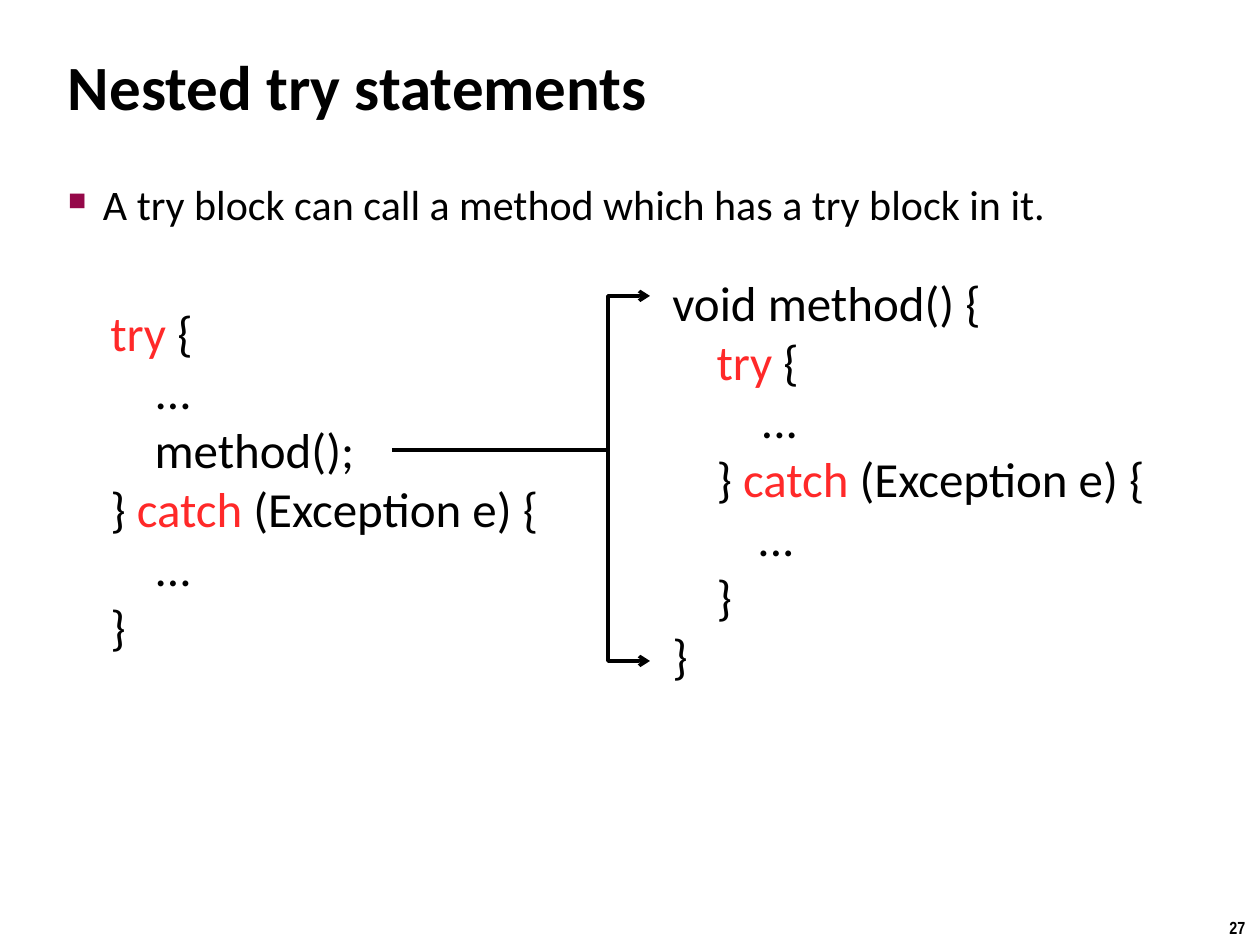
"""Build the slide on nested try statements."""
import pptx
import pptx.util
import pptx.dml.color
import pptx.enum.shapes
import pptx.enum.text
import pptx.oxml.ns
from lxml import etree

BLACK, RED, PLUM = "000000", "FF2929", "950849"
KEYWORDS = ("try", "catch")
TITLE = "Nested try statements"
POINT = "A try block can call a method which has a try block in it."
NUMBER = "27"

# Each line of code is (left margin in px, pieces of text).
CODE = [
    ((660, 266, 514, 488), [
        (0, ["void method() {"]),
        (0, ["    ", "try", " {"]),
        (0, ["        ..."]),
        (0, ["    } ", "catch", " (Exception e) {"]),
        (63, ["  ..."]),
        (0, ["    }"]),
        (0, ["}"]),
    ]),
    ((98, 296, 469, 428), [
        (0, ["try", " {"]),
        (0, ["    ..."]),
        (0, ["    method();"]),
        (0, ["} ", "catch", " (Exception e) {"]),
        (0, ["    ..."]),
        (0, ["}"]),
    ]),
]
BEND_X = 608
ARROWS = [((480, 450), (650, 296)), ((392, 450), (650, 661))]


def px(length):
    return pptx.util.Emu(length * 914400 // 126)


def colour(value):
    return pptx.dml.color.RGBColor.from_string(value)


def add(parent, tag, **attributes):
    return etree.SubElement(parent, pptx.oxml.ns.qn(tag), attributes)


def style(font, size, value=BLACK, bold=False, name="Calibri"):
    font.name, font.size, font.bold = name, pptx.util.Pt(size), bold
    font.color.rgb = colour(value)


def add_box(page, place, wrap=True, inset=None):
    frame = page.shapes.add_textbox(*map(px, place)).text_frame
    frame.word_wrap = wrap
    if inset is not None:
        frame.margin_left = frame.margin_right = px(inset)
        frame.margin_top = frame.margin_bottom = px(inset)
    return frame


def add_code(page, place, lines):
    frame = add_box(page, place, wrap=False)
    frame.auto_size = pptx.enum.text.MSO_AUTO_SIZE.SHAPE_TO_FIT_TEXT
    frame.text = "\n".join("" for _ in lines)
    for para, (margin, pieces) in zip(frame.paragraphs, lines):
        if margin:
            para._p.get_or_add_pPr().set("marL", str(px(margin)))
        for piece in pieces:
            span = para.add_run()
            span.text = piece
            style(span.font, 28, RED if piece in KEYWORDS else BLACK)


def add_arrow(page, start, end):
    arrow = page.shapes.add_connector(
        pptx.enum.shapes.MSO_CONNECTOR.ELBOW, *map(px, start + end))
    arrow.line.color.rgb = colour(BLACK)
    arrow.line.width = pptx.util.Pt(2)
    add(arrow.line._get_or_add_ln(), "a:tailEnd", type="arrow")
    add(arrow._element.spPr, "a:effectLst")
    bend = round((BEND_X - start[0]) / (end[0] - start[0]) * 100000)
    guides = arrow._element.spPr.prstGeom.get_or_add_avLst()
    add(guides, "a:gd", name="adj1", fmla=f"val {bend}")


def main():
    deck = pptx.Presentation()
    deck.slide_width, deck.slide_height = px(1260), px(945)
    page = deck.slides.add_slide(deck.slide_layouts[6])

    number = add_box(page, (1217, 911, 43, 34), wrap=False)
    number.text = NUMBER
    style(number.paragraphs[0].runs[0].font, 10, bold=True, name="Arial Narrow")

    title = add_box(page, (63, 10, 1144, 150), inset=5)
    title.vertical_anchor = pptx.enum.text.MSO_ANCHOR.MIDDLE
    title.text = TITLE
    style(title.paragraphs[0].runs[0].font, 36, bold=True)

    body = add_box(page, (63, 174, 1144, 742), inset=5)
    body.text = POINT
    para = body.paragraphs[0]
    props = para._p.get_or_add_pPr()
    props.set("marL", str(px(35)))
    props.set("indent", str(px(-35)))
    add(add(props, "a:buClr"), "a:srgbClr", val=PLUM)
    add(props, "a:buSzPct", val="60000")
    add(props, "a:buChar", char="■")
    style(para.runs[0].font, 24)

    for place, lines in CODE:
        add_code(page, place, lines)
    for start, end in ARROWS:
        add_arrow(page, start, end)
    deck.save("out.pptx")


if __name__ == "__main__":
    main()
